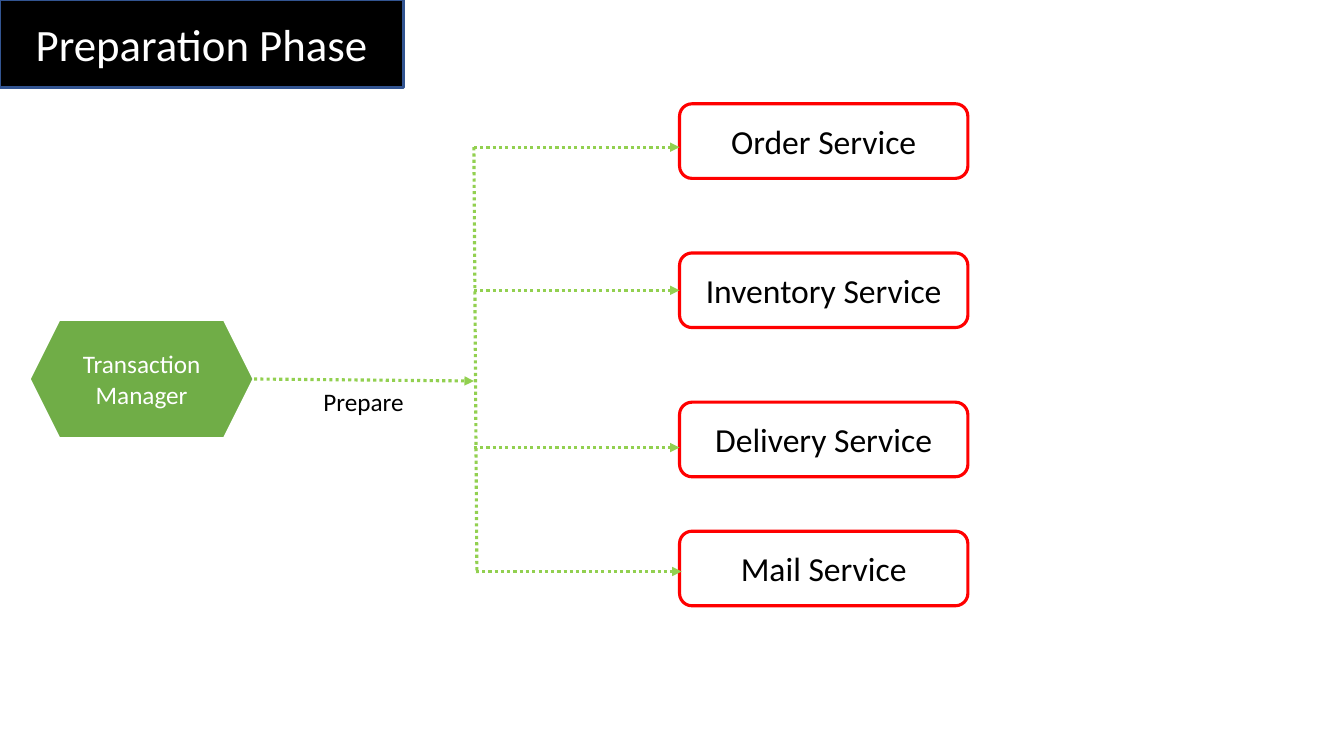
"""Build the preparation phase slide of a two-phase commit."""
from dataclasses import dataclass

import pptx
import pptx.dml.color
import pptx.enum.dml
import pptx.enum.shapes
import pptx.enum.text
import pptx.oxml
import pptx.oxml.ns
import pptx.slide
import pptx.util
from pptx.util import Inches

SHAPES = pptx.enum.shapes.MSO_SHAPE


@dataclass(frozen=True)
class Theme:
    font: str = "Calibri"
    black: str = "000000"
    white: str = "FFFFFF"
    manager: str = "70AD47"
    service_border: str = "FF0000"
    title_border: str = "325491"
    arrow: str = "92D050"
    title_size: int = 32
    service_size: int = 24
    label_size: int = 18
    outline: float = 2
    heavy_outline: float = 2.25


@dataclass(frozen=True)
class Box:
    text: str
    left: float
    top: float
    width: float
    height: float
    size: float
    color: str
    fill: str = ""
    border: str = ""
    border_width: float = 0
    preset: SHAPES = SHAPES.RECTANGLE


@dataclass(frozen=True)
class Link:
    start: tuple[float, float]
    end: tuple[float, float]
    arrowhead: bool = True


THEME = Theme()
SERVICE_LEFT = 6.74
TRUNK_X = 4.7

TITLE = Box("Preparation Phase", 0, 0, 4, 0.87, THEME.title_size, THEME.white,
            THEME.black, THEME.title_border, THEME.outline)
MANAGER = Box("Transaction Manager", 0.29, 3.17, 2.23, 1.18, THEME.label_size, THEME.white,
              THEME.manager, THEME.white, THEME.outline, SHAPES.HEXAGON)
PREPARE = Box("Prepare", 3.11, 3.78, 1.16, 0.4, THEME.label_size, THEME.black)
SERVICES = [
    Box(f"{name} Service", SERVICE_LEFT, top, 2.86, 0.74, THEME.service_size, THEME.black,
        THEME.white, THEME.service_border, THEME.heavy_outline, SHAPES.ROUNDED_RECTANGLE)
    for name, top in (("Order", 1.03), ("Inventory", 2.51), ("Delivery", 3.99), ("Mail", 5.27))
]
LINKS = [
    Link((2.52, 3.76), (TRUNK_X, 3.78)),
    Link((TRUNK_X, 1.46), (4.73, 5.69), arrowhead=False),
    *(Link((left, y), (left + 2.04, y))
      for left, y in ((TRUNK_X, 1.46), (TRUNK_X, 2.88), (TRUNK_X, 4.44), (4.72, 5.67))),
]


def rgb(color: str) -> pptx.dml.color.RGBColor:
    return pptx.dml.color.RGBColor.from_string(color)


def place(shape, box: Box) -> None:
    shape.left, shape.top = Inches(box.left), Inches(box.top)
    shape.width, shape.height = Inches(box.width), Inches(box.height)


def write_text(shape, box: Box, alignment: pptx.enum.text.PP_ALIGN) -> None:
    frame = shape.text_frame
    frame.text = box.text
    frame.word_wrap = True
    paragraph = frame.paragraphs[0]
    paragraph.alignment = alignment
    paragraph.font.name = THEME.font
    paragraph.font.size = pptx.util.Pt(box.size)
    paragraph.font.color.rgb = rgb(box.color)


def format_box(shape, box: Box) -> None:
    shape.fill.solid()
    shape.fill.fore_color.rgb = rgb(box.fill)
    shape.line.color.rgb = rgb(box.border)
    shape.line.width = pptx.util.Pt(box.border_width)
    write_text(shape, box, pptx.enum.text.PP_ALIGN.CENTER)
    shape.text_frame.vertical_anchor = pptx.enum.text.MSO_ANCHOR.MIDDLE


def format_title(slide: pptx.slide.Slide, box: Box) -> None:
    title = slide.shapes.title
    place(title, box)
    format_box(title, box)
    title.text_frame.auto_size = pptx.enum.text.MSO_AUTO_SIZE.NONE


def add_box(slide: pptx.slide.Slide, box: Box) -> None:
    shape = slide.shapes.add_shape(box.preset, Inches(box.left), Inches(box.top),
                                   Inches(box.width), Inches(box.height))
    shape.shadow.inherit = False
    format_box(shape, box)


def add_label(slide: pptx.slide.Slide, box: Box) -> None:
    label = slide.shapes.add_textbox(Inches(box.left), Inches(box.top),
                                     Inches(box.width), Inches(box.height))
    write_text(label, box, pptx.enum.text.PP_ALIGN.LEFT)


def add_link(slide: pptx.slide.Slide, link: Link) -> None:
    connector = slide.shapes.add_connector(
        pptx.enum.shapes.MSO_CONNECTOR.STRAIGHT,
        *(Inches(length) for length in (*link.start, *link.end)))
    connector.line.color.rgb = rgb(THEME.arrow)
    connector.line.width = pptx.util.Pt(THEME.heavy_outline)
    connector.line.dash_style = pptx.enum.dml.MSO_LINE.ROUND_DOT
    properties = connector.element.spPr
    if link.arrowhead:
        arrowhead = pptx.oxml.parse_xml(
            f'<a:tailEnd {pptx.oxml.ns.nsdecls("a")} type="triangle"/>')
        properties.find(pptx.oxml.ns.qn("a:ln")).append(arrowhead)
    properties.append(pptx.oxml.parse_xml(f'<a:effectLst {pptx.oxml.ns.nsdecls("a")}/>'))


def main() -> None:
    presentation = pptx.Presentation()
    presentation.slide_width, presentation.slide_height = Inches(13.33), Inches(7.5)
    slide = presentation.slides.add_slide(presentation.slide_layouts.get_by_name("Title Only"))
    format_title(slide, TITLE)
    for box in (MANAGER, *SERVICES):
        add_box(slide, box)
    add_label(slide, PREPARE)
    for link in LINKS:
        add_link(slide, link)
    presentation.save("out.pptx")


if __name__ == "__main__":
    main()
